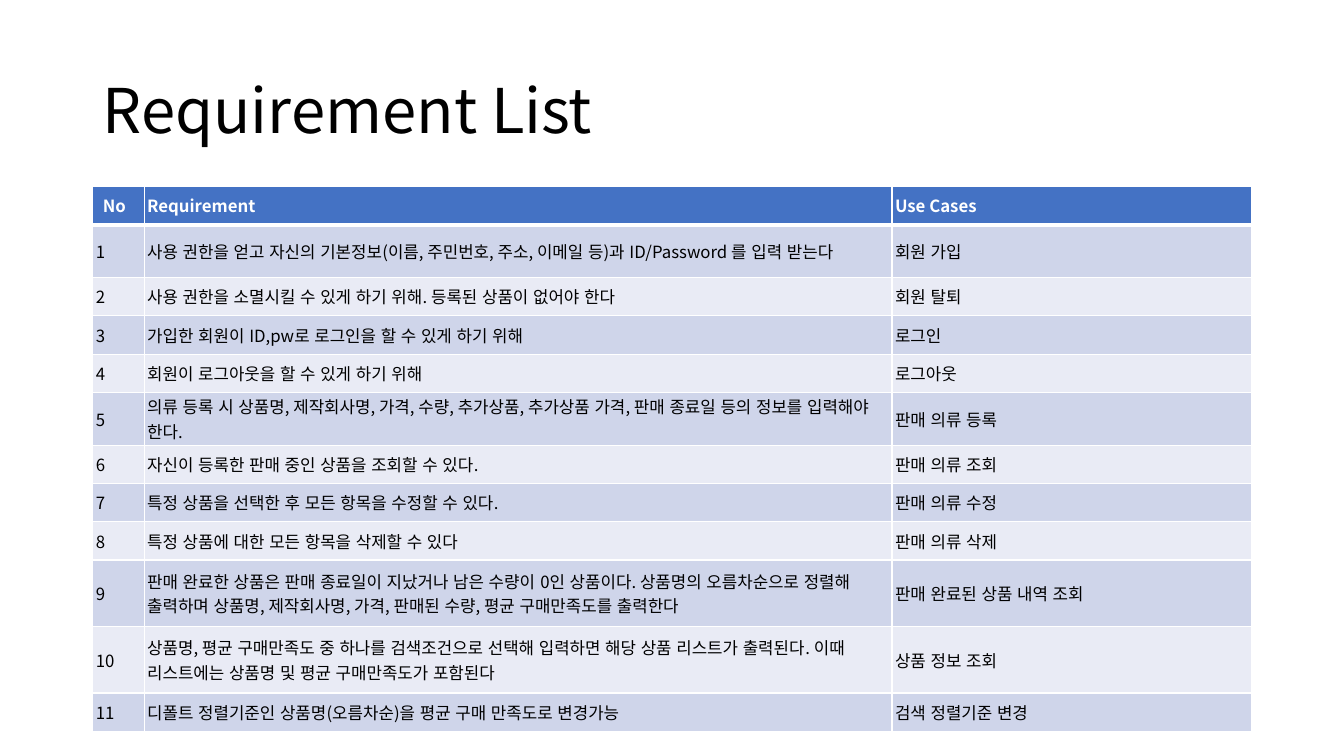
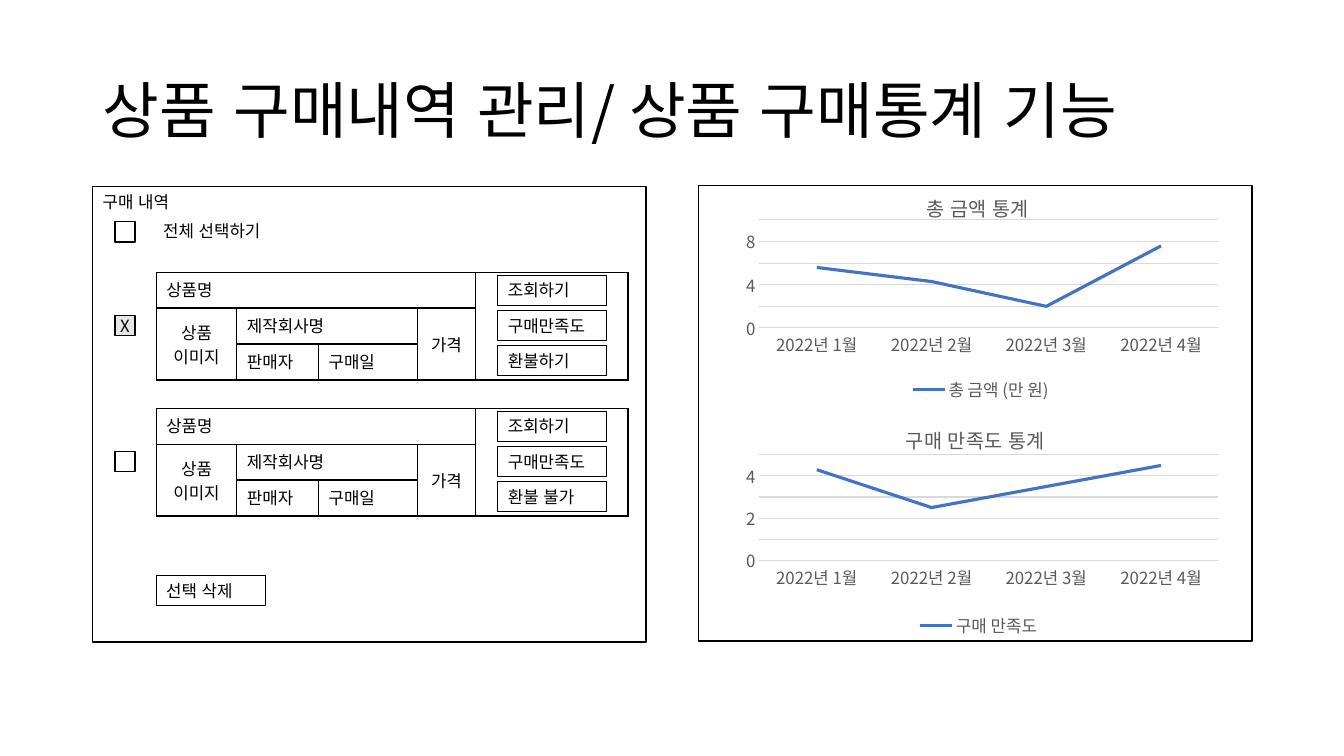
from dataclasses import dataclass

from lxml import etree
from pptx import Presentation
from pptx.chart.data import CategoryChartData
from pptx.dml.color import RGBColor
from pptx.enum.chart import XL_CHART_TYPE, XL_LEGEND_POSITION, XL_MARKER_STYLE, XL_TICK_MARK
from pptx.enum.lang import MSO_LANGUAGE_ID
from pptx.enum.shapes import MSO_SHAPE
from pptx.enum.text import MSO_ANCHOR, PP_ALIGN
from pptx.oxml.ns import qn
from pptx.util import Inches, Pt

KOREAN = MSO_LANGUAGE_ID.KOREAN
LINE_CHART = XL_CHART_TYPE.LINE
LEGEND_BOTTOM = XL_LEGEND_POSITION.BOTTOM
NO_MARKER = XL_MARKER_STYLE.NONE
NO_TICK = XL_TICK_MARK.NONE
RECTANGLE = MSO_SHAPE.RECTANGLE
TOP, MIDDLE = MSO_ANCHOR.TOP, MSO_ANCHOR.MIDDLE
LEFT, CENTER = PP_ALIGN.LEFT, PP_ALIGN.CENTER


@dataclass(frozen=True)
class Theme:
    """Colours, font and type sizes shared by the slides."""
    font: str = "Noto Sans CJK KR"
    ink: str = "000000"
    white: str = "FFFFFF"
    accent: str = "4472C4"
    odd_row: str = "CFD5EA"
    even_row: str = "E9EBF5"
    checked: str = "E7E6E6"
    chart_text: str = "595959"
    grid: str = "D9D9D9"
    title_size: int = 44
    chart_title_size: int = 14
    body_size: int = 12


THEME = Theme()
SLIDE_HEIGHT = 7.5
SLIDE_WIDTH = SLIDE_HEIGHT * 16 / 9

LIST_TITLE = "Requirement List"
LIST_HEADER = ("No", "Requirement", "Use Cases")
REQUIREMENTS = [
    ("사용 권한을 얻고 자신의 기본정보(이름, 주민번호, 주소, 이메일 등)과 ID/Password 를 입력 받는다", "회원 가입"),
    ("사용 권한을 소멸시킬 수 있게 하기 위해. 등록된 상품이 없어야 한다", "회원 탈퇴"),
    ("가입한 회원이 ID,pw로 로그인을 할 수 있게 하기 위해", "로그인"),
    ("회원이 로그아웃을 할 수 있게 하기 위해", "로그아웃"),
    ("의류 등록 시 상품명, 제작회사명, 가격, 수량, 추가상품, 추가상품 가격, 판매 종료일 등의 정보를 입력해야 한다.",
     "판매 의류 등록"),
    ("자신이 등록한 판매 중인 상품을 조회할 수 있다.", "판매 의류 조회"),
    ("특정 상품을 선택한 후 모든 항목을 수정할 수 있다.", "판매 의류 수정"),
    ("특정 상품에 대한 모든 항목을 삭제할 수 있다", "판매 의류 삭제"),
    ("판매 완료한 상품은 판매 종료일이 지났거나 남은 수량이 0인 상품이다. 상품명의 오름차순으로 정렬해 "
     "출력하며 상품명, 제작회사명, 가격, 판매된 수량, 평균 구매만족도를 출력한다", "판매 완료된 상품 내역 조회"),
    ("상품명, 평균 구매만족도 중 하나를 검색조건으로 선택해 입력하면 해당 상품 리스트가 출력된다. 이때 "
     "리스트에는 상품명 및 평균 구매만족도가 포함된다", "상품 정보 조회"),
    ("디폴트 정렬기준인 상품명(오름차순)을 평균 구매 만족도로 변경가능", "검색 정렬기준 변경"),
]
LIST_COLUMNS = (0.51, 7.42, 3.57)
ROW_HEIGHT, TALL_ROWS = 0.38, {5: 0.51, 9: 0.66, 10: 0.66}

SCREEN_TITLE = "상품 구매내역 관리/ 상품 구매통계 기능"
HISTORY_LABEL, SELECT_ALL, DELETE_SELECTED = "구매 내역", "전체 선택하기", "선택 삭제"
# first row, first column, last row, last column, text, alignment
PRODUCT_FIELDS = [
    (0, 0, 0, 3, "상품명", LEFT),
    (0, 4, 2, 4, "", LEFT),
    (1, 0, 2, 0, "상품\n이미지", CENTER),
    (1, 1, 1, 2, "제작회사명", LEFT),
    (1, 3, 2, 3, "가격", CENTER),
    (2, 1, 2, 1, "판매자", LEFT),
    (2, 2, 2, 2, "구매일", LEFT),
]
PRODUCT_COLUMNS, PRODUCT_ROWS = (0.8, 0.81, 0.98, 0.58, 1.51), (1.07 / 3,) * 3
# check mark, buttons
PRODUCTS = [
    ("X", ("조회하기", "구매만족도", "환불하기")),
    ("", ("조회하기", "구매만족도", "환불 불가")),
]
PRODUCT_LEFT, PRODUCT_TOP, PRODUCT_STEP = 1.55, 2.7, 1.35
BUTTON_LEFT, BUTTON_STEP, BUTTON_SIZE = 4.94, 0.35, (1.08, 0.3)
CHECK_LEFT, CHECK_SIZE = 1.14, 0.2

MONTHS = [f"2022년 {month}월" for month in range(1, 5)]
CHARTS = [
    {"title": "총 금액 통계", "series": "총 금액 (만 원)", "values": (5.6, 4.3, 2, 7.6), "maximum": 10,
     "major": 2, "box": (7.18, 1.74, 5.06, 2.33), "title_left": 0.39, "plot": (0.07, 0.19, 0.9, 0.46),
     "legend": (0.36, 0.84)},
    {"title": "구매 만족도 통계", "series": "구매 만족도", "values": (4.3, 2.5, 3.5, 4.5), "maximum": 5,
     "major": 1, "box": (7.18, 4.05, 5.06, 2.32), "title_left": 0.35, "plot": (0.07, 0.2, 0.9, 0.45),
     "legend": None},
]


def inches(*lengths):
    """Turn plain numbers into lengths."""
    return [Inches(length) for length in lengths]


def rgb(color):
    """Turn a hex string into a colour."""
    return RGBColor.from_string(color)


def style_font(font, size, color, bold=False):
    """Format a font, for Latin and Korean text alike."""
    font.name, font.size, font.bold = THEME.font, Pt(size), bold
    font.color.rgb = rgb(color)
    latin = font._element.find(qn("a:latin"))
    east_asian = etree.Element(qn("a:ea"), typeface=THEME.font)
    latin.addnext(east_asian)


def write(frame, text, size=THEME.body_size, color=THEME.ink, align=LEFT, bold=False):
    """Fill a text frame and format each of its paragraphs."""
    frame.text = text
    for para in frame.paragraphs:
        para.alignment = align
        for span in para.runs:
            style_font(span.font, size, color, bold)
            span.font.language_id = KOREAN
        if not para.runs:
            para._p.get_or_add_endParaRPr().set("sz", str(size * 100))


def add_titled_page(deck, title):
    """Add a title-only slide with the shared title style."""
    page = deck.slides.add_slide(deck.slide_layouts[5])
    box = page.shapes.title
    box.left, box.top, box.width, box.height = inches(0.92, 0.4, 11.5, 1.45)
    box.text_frame.vertical_anchor = MIDDLE
    write(box.text_frame, title, THEME.title_size)
    box.text_frame.paragraphs[0].line_spacing = 0.9
    return page


def add_box(page, area, weight=1, fill=None):
    """Add an outlined rectangle."""
    box = page.shapes.add_shape(RECTANGLE, *inches(*area))
    box.shadow.inherit = False
    box.line.color.rgb, box.line.width = rgb(THEME.ink), Pt(weight)
    if fill:
        box.fill.solid()
        box.fill.fore_color.rgb = rgb(fill)
    else:
        box.fill.background()
    return box


def add_button(page, left, top, text):
    """Add a labelled button."""
    frame = add_box(page, (left, top, *BUTTON_SIZE), 0.75).text_frame
    frame.vertical_anchor = TOP
    write(frame, text)


def add_check_box(page, top, mark=""):
    """Add a check box, shaded when it carries a mark."""
    box = add_box(page, (CHECK_LEFT, top, CHECK_SIZE, CHECK_SIZE), fill=THEME.checked if mark else None)
    if mark:
        frame = box.text_frame
        frame.word_wrap, frame.vertical_anchor = False, MIDDLE
        frame.margin_left = frame.margin_right = frame.margin_top = frame.margin_bottom = 0
        write(frame, mark, align=CENTER)


def add_label(page, left, top, width, text):
    """Add a one-line text box."""
    frame = page.shapes.add_textbox(*inches(left, top, width, 0.3)).text_frame
    frame.word_wrap = True
    write(frame, text)


def add_grid(page, left, top, columns, rows):
    """Add an unstyled table with the given column widths and row heights."""
    area = inches(left, top, sum(columns), sum(rows))
    table = page.shapes.add_table(len(rows), len(columns), *area).table
    table.first_row = table.horz_banding = False
    for column, width in zip(table.columns, columns):
        column.width = Inches(width)
    for row, height in zip(table.rows, rows):
        row.height = Inches(height)
    return table


def style_cell(cell, border, fill=None, bottom=1):
    """Draw the four borders of a cell, then its fill."""
    properties = cell._tc.get_or_add_tcPr()
    for side, weight in (("L", 1), ("R", 1), ("T", 1), ("B", bottom)):
        line = etree.SubElement(properties, qn(f"a:ln{side}"), w=str(Pt(weight)))
        paint = etree.SubElement(line, qn("a:solidFill"))
        etree.SubElement(paint, qn("a:srgbClr"), val=border)
    if fill:
        cell.fill.solid()
        cell.fill.fore_color.rgb = rgb(fill)
    else:
        cell.fill.background()


def add_requirement_table(page):
    """Add the banded table of requirements."""
    lines = [LIST_HEADER] + [(str(number), *row) for number, row in enumerate(REQUIREMENTS, 1)]
    heights = [TALL_ROWS.get(index, ROW_HEIGHT) for index in range(len(lines))]
    table = add_grid(page, 0.92, 1.85, LIST_COLUMNS, heights)
    table.first_row = True
    for row, line in enumerate(lines):
        header = row == 0
        fill = THEME.accent if header else THEME.odd_row if row % 2 else THEME.even_row
        for column, text in enumerate(line):
            cell = table.cell(row, column)
            style_cell(cell, THEME.white, fill, 3 if header else 1)
            cell.vertical_anchor = MIDDLE
            if (row, column) != (0, 0):
                cell.margin_left = cell.margin_right = Inches(0.03)
                cell.margin_top = cell.margin_bottom = Inches(0.02)
            write(cell.text_frame, text, color=THEME.white if header else THEME.ink, bold=header)


def add_product(page, top, mark, buttons):
    """Add one purchased product: check box, field table and buttons."""
    table = add_grid(page, PRODUCT_LEFT, top, PRODUCT_COLUMNS, PRODUCT_ROWS)
    for cell in table.iter_cells():
        style_cell(cell, THEME.ink)
        write(cell.text_frame, "")
    for row, column, last_row, last_column, text, align in PRODUCT_FIELDS:
        cell = table.cell(row, column)
        if (row, column) != (last_row, last_column):
            cell.merge(table.cell(last_row, last_column))
        cell.vertical_anchor = MIDDLE if align == CENTER else TOP
        write(cell.text_frame, text, align=align)
    for index, text in enumerate(buttons):
        add_button(page, BUTTON_LEFT, top + 0.03 + index * BUTTON_STEP, text)
    add_check_box(page, top + 0.43, mark)


def set_layout(parent, index, target=None, **fractions):
    """Give a chart part a fixed place, in fractions of the chart."""
    for old in parent.findall(qn("c:layout")):
        parent.remove(old)
    layout = etree.Element(qn("c:layout"))
    parent.insert(index, layout)
    manual = etree.SubElement(layout, qn("c:manualLayout"))
    if target:
        etree.SubElement(manual, qn("c:layoutTarget"), val=target)
    for mode in ("xMode", "yMode"):
        etree.SubElement(manual, qn(f"c:{mode}"), val="edge")
    for name, value in fractions.items():
        etree.SubElement(manual, qn(f"c:{name}"), val=str(value))


def add_line_chart(page, content):
    """Add a single-line chart with title and legend."""
    data = CategoryChartData()
    data.categories = MONTHS
    data.add_series(content["series"], content["values"])
    chart = page.shapes.add_chart(LINE_CHART, *inches(*content["box"]), data).chart
    style_font(chart.font, THEME.body_size, THEME.chart_text)
    background = etree.Element(qn("c:spPr"))
    etree.SubElement(background, qn("a:noFill"))
    etree.SubElement(etree.SubElement(background, qn("a:ln")), qn("a:noFill"))
    chart._chartSpace.find(qn("c:chart")).addnext(background)

    chart.has_title = True
    write(chart.chart_title.text_frame, content["title"], THEME.chart_title_size, THEME.chart_text, CENTER)
    set_layout(chart.chart_title._element, 1, x=content["title_left"], y=0.05)
    set_layout(chart._chartSpace.chart.plotArea, 0, "inner", **dict(zip("xywh", content["plot"])))

    chart.has_legend = True
    chart.legend.position, chart.legend.include_in_layout = LEGEND_BOTTOM, False
    style_font(chart.legend.font, THEME.body_size, THEME.chart_text)
    if content["legend"]:
        set_layout(chart.legend._element, 1, **dict(zip("xy", content["legend"])))
    months, amounts = chart.category_axis, chart.value_axis
    for axis in (months, amounts):
        axis.major_tick_mark = axis.minor_tick_mark = NO_TICK
        style_font(axis.tick_labels.font, THEME.body_size, THEME.chart_text)
    amounts.minimum_scale, amounts.maximum_scale = 0, content["maximum"]
    amounts.major_unit = content["major"]
    amounts.format.line.fill.background()
    for line in (months.format.line, amounts.major_gridlines.format.line):
        line.color.rgb, line.width = rgb(THEME.grid), Pt(0.75)

    chart.plots[0].vary_by_categories = False
    series = chart.plots[0].series[0]
    series.smooth, series.marker.style = False, NO_MARKER
    series.format.line.color.rgb, series.format.line.width = rgb(THEME.accent), Pt(2.25)


def build_screen(page):
    """Lay out the purchase history and the two statistics charts."""
    add_box(page, (0.92, 1.85, 5.49, 4.52))
    add_label(page, 0.92, 1.85, 5.32, HISTORY_LABEL)
    add_check_box(page, 2.2)
    add_label(page, 1.52, 2.14, 2.66, SELECT_ALL)
    for index, (mark, buttons) in enumerate(PRODUCTS):
        add_product(page, PRODUCT_TOP + index * PRODUCT_STEP, mark, buttons)
    add_button(page, PRODUCT_LEFT, 5.71, DELETE_SELECTED)
    add_box(page, (6.93, 1.84, 5.49, 4.52))
    for content in CHARTS:
        add_line_chart(page, content)


deck = Presentation()
deck.slide_width, deck.slide_height = inches(SLIDE_WIDTH, SLIDE_HEIGHT)
add_requirement_table(add_titled_page(deck, LIST_TITLE))
build_screen(add_titled_page(deck, SCREEN_TITLE))
deck.save("out.pptx")
